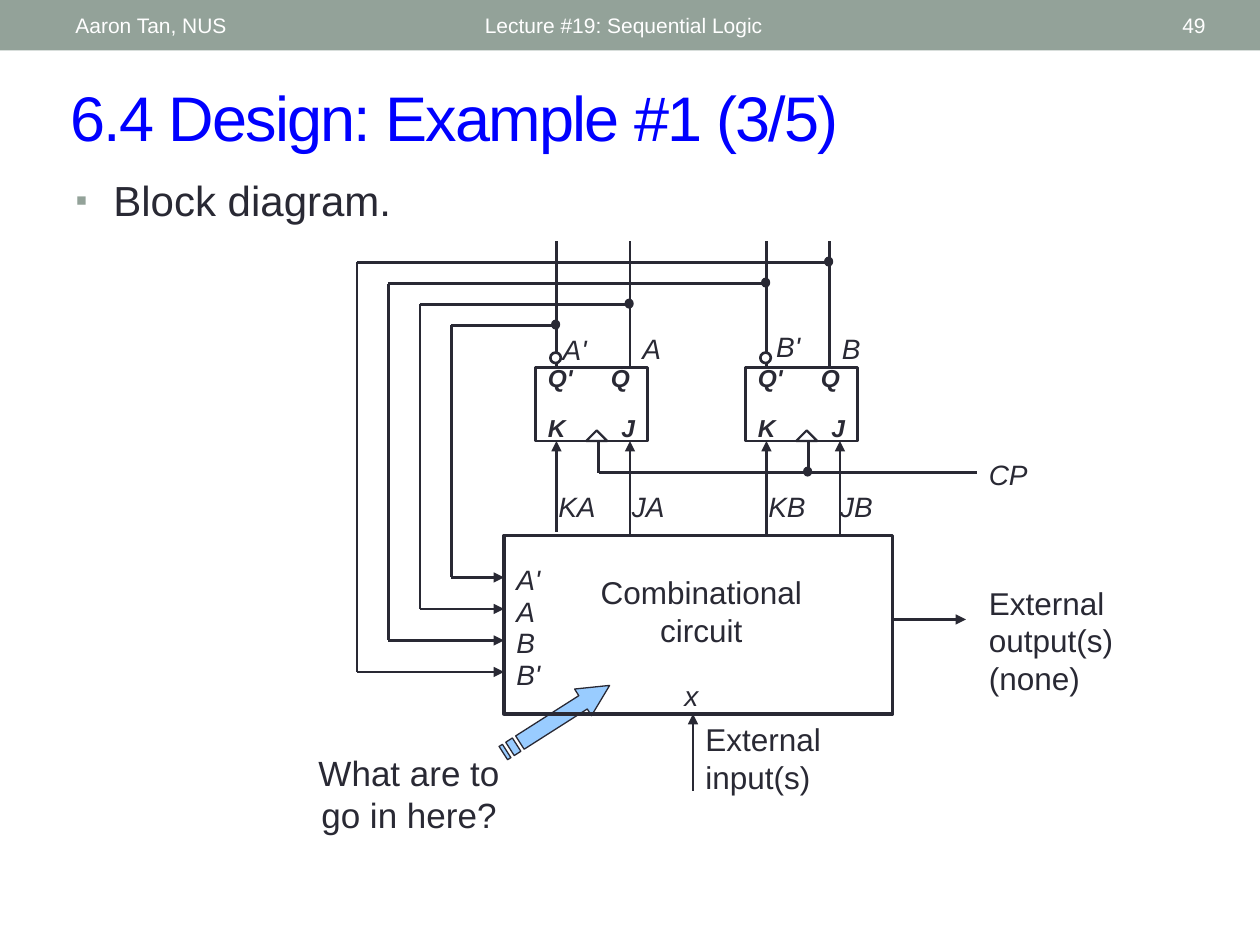
from typing import NamedTuple

from lxml import etree
from pptx import Presentation
from pptx.dml.color import RGBColor
from pptx.enum import shapes as es, text as et
from pptx.oxml.ns import qn
from pptx.util import Pt


class Theme(NamedTuple):
    font: str = "Arial"
    ink: str = "292934"
    bar: str = "93A299"
    title: str = "0000FF"
    white: str = "FFFFFF"
    arrow: str = "99CCFF"
    head: int = 36
    body: int = 24
    ask: int = 20
    note: int = 18
    name: int = 16
    pin: int = 14
    small: int = 12


class Label(NamedTuple):
    text: str
    x: float
    y: float
    w: float


class Flop(NamedTuple):
    """One JK flip-flop: left edge, name, and x of its Q line."""
    x: float
    name: str
    q: float


class Loop(NamedTuple):
    """A feedback path from a flip-flop output to a circuit input."""
    left: float
    top: float
    start: float
    end: float


T = Theme()
SHAPE = es.MSO_SHAPE
LEFT, MID, RIGHT = et.PP_ALIGN.LEFT, et.PP_ALIGN.CENTER, et.PP_ALIGN.RIGHT
BOX_X, BOX_Y, BOX_W, BOX_H = 288, 306, 222, 102
FLOP_Y, FLOP_W, FLOP_H = 210, 64, 42
FLOP_END = FLOP_Y + FLOP_H
CLOCK_Y = 270
FLOPS = [Flop(306, "A", 360), Flop(426, "B", 474)]
PINS = [Label("Q'", 0, 204, 30), Label("Q", 36, 204, 25),
        Label("K", 0, 232.5, 24.5), Label("J", 42, 232.5, 22.5)]
LOOPS = [Loop(204 + 18 * i, 150 + 12 * i, start, 384 - 18 * i)
         for i, start in enumerate((474, 438, 360, 318))]
NAMES = [Label("A'", 288, 318, 28), Label("A", 288, 336, 25),
         Label("B", 288, 354, 25), Label("B'", 288, 372, 28),
         Label("x", 384, 384, 22.5), Label("CP", 558, 258, 36.5),
         Label("KA", 312, 276, 36), Label("JA", 354, 276, 33),
         Label("KB", 432, 276, 36), Label("JB", 473, 276, 33),
         Label("A'", 314.5, 186.5, 28), Label("A", 360, 186, 25),
         Label("B'", 436.5, 185, 28), Label("B", 474, 186, 25)]
NOTES = [Label("External\ninput(s)", 396, 408, 80.5),
         Label("External\noutput(s)\n(none)", 558, 330, 85.5)]


def rgb(code: str) -> RGBColor:
    return RGBColor.from_string(code)


def style(frame, size: int, color: str = T.ink, align=LEFT,
          bold: bool = False, italic: bool = False) -> None:
    for para in frame.paragraphs:
        para.alignment = align
        for run in para.runs:
            font = run.font
            font.name, font.size = T.font, Pt(size)
            font.bold, font.italic = bold, italic
            font.color.rgb = rgb(color)


def write(slide, label: Label, size: int, wrap: bool = False, **look) -> None:
    high = 7.2 + size * 1.2 * (label.text.count("\n") + 1)
    box = slide.shapes.add_textbox(Pt(label.x), Pt(label.y), Pt(label.w), Pt(high))
    frame = box.text_frame
    frame.text = label.text
    frame.word_wrap = wrap
    frame.auto_size = et.MSO_AUTO_SIZE.SHAPE_TO_FIT_TEXT
    style(frame, size, **look)


def paint(shape, fill: str | None, line: float) -> None:
    shape.shadow.inherit = False
    if fill:
        shape.fill.solid()
        shape.fill.fore_color.rgb = rgb(fill)
    else:
        shape.fill.background()
    if line:
        shape.line.color.rgb = rgb(T.ink)
        shape.line.width = Pt(line)
    else:
        shape.line.fill.background()


def draw(slide, kind, x: float, y: float, w: float, h: float,
         fill: str | None = None, line: float = 1.5) -> None:
    shape = slide.shapes.add_shape(kind, Pt(x), Pt(y), Pt(w), Pt(h))
    paint(shape, fill, line)


def wire(slide, x1: float, y1: float, x2: float, y2: float,
         arrow: bool = False) -> None:
    link = slide.shapes.add_connector(
        es.MSO_CONNECTOR.STRAIGHT, Pt(x1), Pt(y1), Pt(x2), Pt(y2))
    link.line.color.rgb = rgb(T.ink)
    link.line.width = Pt(1.5)
    props = link._element.spPr
    if arrow:
        etree.SubElement(props.find(qn("a:ln")), qn("a:tailEnd"), type="triangle")
    etree.SubElement(props, qn("a:effectLst"))


def dot(slide, x: float, y: float) -> None:
    draw(slide, SHAPE.OVAL, x - 2.75, y - 3, 4.5, 5, T.ink, 0.75)


def add_bar(slide) -> None:
    draw(slide, SHAPE.RECTANGLE, 0, 0, 720, 28.8, T.bar, 0)
    for label, align in ((Label("Aaron Tan, NUS", 36, 3.5, 228), LEFT),
                         (Label("Lecture #19: Sequential Logic", 270, 3.5, 324), LEFT),
                         (Label("49", 628, 3.5, 68), RIGHT)):
        write(slide, label, T.small, wrap=True, color=T.white, align=align)


def place(shape, x: float, y: float, w: float, h: float) -> None:
    shape.left, shape.top, shape.width, shape.height = Pt(x), Pt(y), Pt(w), Pt(h)


def add_heads(slide) -> None:
    title, body = slide.placeholders
    place(title, 33, 41, 663, 50.5)
    title.text_frame.text = "6.4 Design: Example #1 (3/5)"
    title.text_frame.vertical_anchor = et.MSO_ANCHOR.MIDDLE
    style(title.text_frame, T.head, T.title)
    title.text_frame.paragraphs[0].runs[0].font._element.set("spc", "-100")
    place(body, 36, 96, 648, 44.5)
    body.text_frame.text = "Block diagram."
    style(body.text_frame, T.body)
    props = body.text_frame.paragraphs[0]._p.get_or_add_pPr()
    props.set("marL", str(Pt(21.6)))
    props.set("indent", str(Pt(-21.6)))
    tint = etree.SubElement(props, qn("a:buClr"))
    etree.SubElement(tint, qn("a:srgbClr"), val=T.bar)
    etree.SubElement(props, qn("a:buSzPct"), val="80000")
    etree.SubElement(props, qn("a:buFont"), typeface=T.font)
    etree.SubElement(props, qn("a:buChar"), char="▪")


def add_hint(slide) -> None:
    """Question with a striped arrow into the circuit."""
    write(slide, Label("What are to go in here?", 168, 426, 131.5), T.ask,
          wrap=True, align=MID)
    path = slide.shapes.build_freeform(Pt(54), Pt(4.5))
    path.add_line_segments([(Pt(x), Pt(y)) for x, y in (
        (54, 0), (72, 9), (54, 18), (54, 13.5), (11.25, 13.5), (11.25, 4.5))])
    for x1, x2 in ((4.5, 9), (0, 2.25)):
        path.move_to(Pt(x1), Pt(4.5))
        path.add_line_segments([(Pt(x), Pt(y)) for x, y in (
            (x1, 13.5), (x2, 13.5), (x2, 4.5))])
    arrow = path.convert_to_shape(Pt(282), Pt(402))
    arrow.rotation = 327.5
    paint(arrow, T.arrow, 0.75)


def add_flop(slide, flop: Flop) -> None:
    x = flop.x
    k, j, clock = x + 12, x + 54, x + 36
    draw(slide, SHAPE.RECTANGLE, x, FLOP_Y, FLOP_W, FLOP_H)
    draw(slide, SHAPE.ISOSCELES_TRIANGLE, x + 29, FLOP_END - 6, 12, 6, line=1.25)
    for pin in PINS:
        write(slide, pin._replace(x=x + pin.x), T.pin, bold=True, italic=True)
    for out in (k, flop.q):
        wire(slide, out, 138, out, FLOP_Y)
    wire(slide, k, BOX_Y - (2 if flop.name == "A" else 0), k, FLOP_END, True)
    wire(slide, j, BOX_Y, j, FLOP_END, True)
    wire(slide, clock, FLOP_END, clock, CLOCK_Y)
    draw(slide, SHAPE.OVAL, k - 3.5, 201.5, 6, 6, T.white)


def add_loop(slide, loop: Loop) -> None:
    wire(slide, loop.left, loop.top, loop.start, loop.top)
    wire(slide, loop.left, loop.top, loop.left, loop.end)
    wire(slide, loop.left, loop.end, BOX_X, loop.end, True)
    dot(slide, loop.start, loop.top)


def main() -> None:
    deck = Presentation()
    deck.slide_width, deck.slide_height = Pt(720), Pt(540)
    slide = deck.slides.add_slide(deck.slide_layouts[1])
    add_bar(slide)
    add_heads(slide)
    add_hint(slide)
    draw(slide, SHAPE.RECTANGLE, BOX_X, BOX_Y, BOX_W, BOX_H, line=2)
    write(slide, Label("Combinational\ncircuit", 336, 324, 129.5), T.note, align=MID)
    for loop in LOOPS:
        add_loop(slide, loop)
    for flop in FLOPS:
        add_flop(slide, flop)
    wire(slide, 342, CLOCK_Y, 558, CLOCK_Y)
    dot(slide, 462, CLOCK_Y)
    wire(slide, 396, 452, 396, BOX_Y + BOX_H, True)
    wire(slide, BOX_X + BOX_W, 354, 552, 354, True)
    for label in NAMES:
        write(slide, label, T.name, italic=True)
    for label in NOTES:
        write(slide, label, T.note)
    deck.save("out.pptx")


if __name__ == "__main__":
    main()
